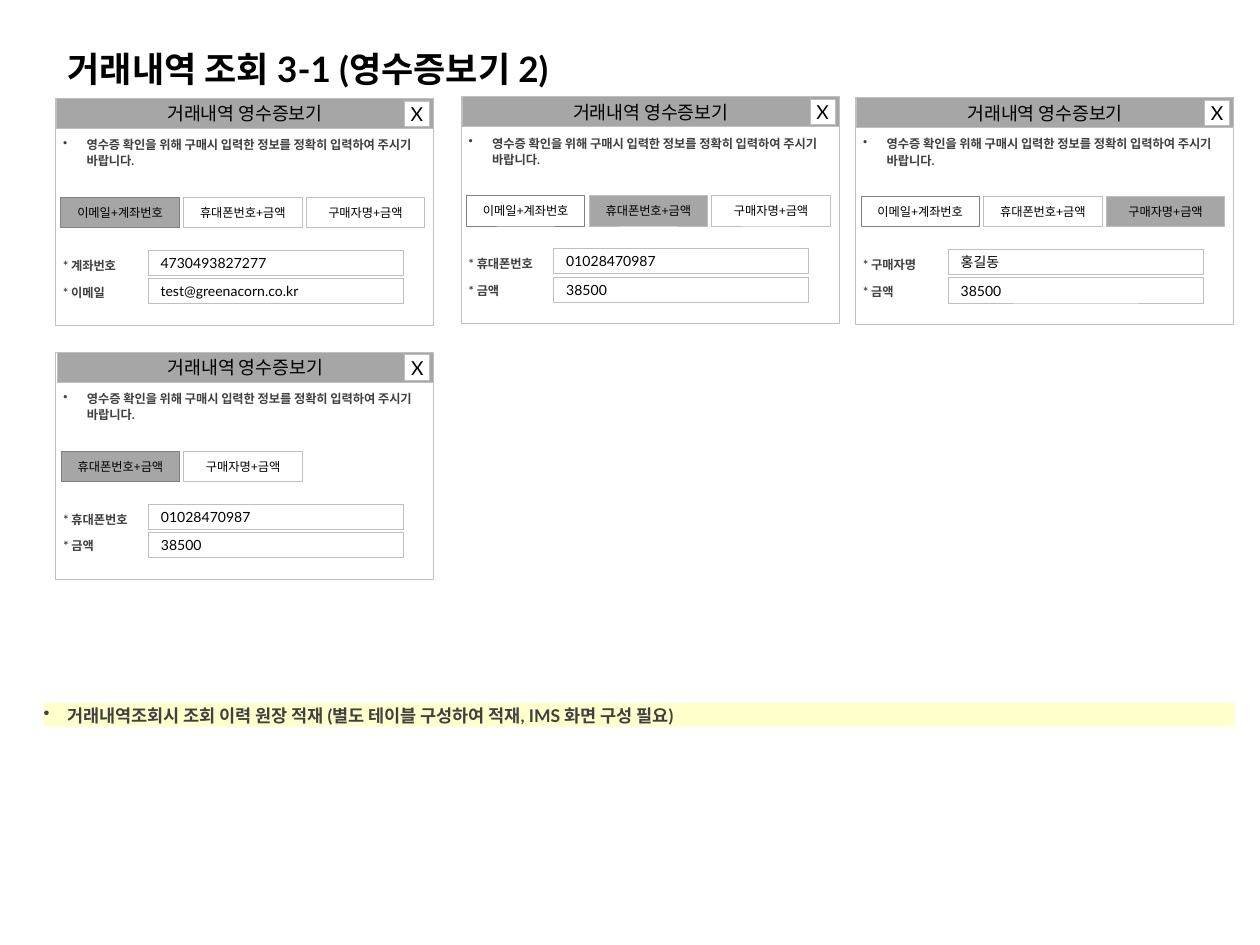
import pptx
import pptx.util
import pptx.dml.color
import pptx.enum.shapes
import pptx.enum.text
from lxml import etree

Pt = pptx.util.Pt
RGB = pptx.dml.color.RGBColor
ALIGN = pptx.enum.text.PP_ALIGN
ANCHOR = pptx.enum.text.MSO_ANCHOR

FONT = "Lato"
BLACK = RGB(0x00, 0x00, 0x00)
WHITE = RGB(0xFF, 0xFF, 0xFF)
DARK = RGB(0x40, 0x40, 0x40)
GRAY = RGB(0x80, 0x80, 0x80)
SILVER = RGB(0xA6, 0xA6, 0xA6)
LIGHT = RGB(0xBF, 0xBF, 0xBF)
YELLOW = RGB(0xFF, 0xFF, 0xCC)

TITLE = "거래내역 조회 3-1 (영수증보기 2)"
NOTE = "거래내역조회시 조회 이력 원장 적재 (별도 테이블 구성하여 적재, IMS 화면 구성 필요)"
HEADER = "거래내역 영수증보기"
HINT = "영수증 확인을 위해 구매시 입력한 정보를 정확히 입력하여 주시기 바랍니다."
ACCOUNT, PHONE, BUYER = "이메일+계좌번호", "휴대폰번호+금액", "구매자명+금액"

POPUPS = [
    {"at": (31.7, 56.3), "tabs": [ACCOUNT, PHONE, BUYER], "active": ACCOUNT,
     "fields": [("계좌번호", "4730493827277"), ("이메일", "test@greenacorn.co.kr")]},
    {"at": (263.5, 55.3), "tabs": [ACCOUNT, PHONE, BUYER], "active": PHONE,
     "fields": [("휴대폰번호", "01028470987"), ("금액", "38500")]},
    {"at": (488.9, 55.8), "tabs": [ACCOUNT, PHONE, BUYER], "active": BUYER,
     "fields": [("구매자명", "홍길동"), ("금액", "38500")]},
    {"at": (31.9, 201.4), "tabs": [PHONE, BUYER], "active": PHONE,
     "fields": [("휴대폰번호", "01028470987"), ("금액", "38500")]},
]

TAB_WIDTH, TAB_STEP = 67.7, 70.1
FIELD_STEP = 16.4
BULLET_INDENT = 13.5


def write(shape, *lines, size, color=BLACK, bold=False, align=ALIGN.LEFT,
          anchor=ANCHOR.MIDDLE, wrap=True, flush=False, spaced=False, bullet=False):
    """Fill a shape with paragraphs; flush drops the insets, spaced opens the lines."""
    frame = shape.text_frame
    frame.word_wrap = wrap
    frame.auto_size = pptx.enum.text.MSO_AUTO_SIZE.NONE
    frame.vertical_anchor = anchor
    if flush:
        frame.margin_left = frame.margin_right = frame.margin_top = frame.margin_bottom = 0
    for index, line in enumerate(lines):
        paragraph = frame.add_paragraph() if index else frame.paragraphs[0]
        paragraph.alignment = align
        if spaced:
            paragraph.line_spacing = 1.1
            paragraph.space_before = paragraph.space_after = Pt(3)
        if bullet:
            properties = paragraph._p.get_or_add_pPr()
            properties.set("marL", str(Pt(BULLET_INDENT)))
            properties.set("indent", str(-Pt(BULLET_INDENT)))
            mark = etree.SubElement(properties, pptx.oxml.ns.qn("a:buChar"))
            mark.set("char", "•")
        run = paragraph.add_run()
        run.text = line
        run.font.name = FONT
        run.font.size = Pt(size)
        run.font.bold = bold
        run.font.color.rgb = color


def add_box(slide, x, y, width, height, fill=None, line=LIGHT):
    box = slide.shapes.add_shape(pptx.enum.shapes.MSO_SHAPE.RECTANGLE,
                                 Pt(x), Pt(y), Pt(width), Pt(height))
    box.shadow.inherit = False
    if fill is None:
        box.fill.background()
    else:
        box.fill.solid()
        box.fill.fore_color.rgb = fill
    if line is None:
        box.line.fill.background()
    else:
        box.line.color.rgb = line
        box.line.width = Pt(0.5)
    return box


def add_label(slide, x, y, width, height):
    return slide.shapes.add_textbox(Pt(x), Pt(y), Pt(width), Pt(height))


def add_popup(slide, popup):
    x, y = popup["at"]
    write(add_label(slide, x + 4.3, y + 21.5, 217.4, 18.7), HINT, size=7, color=DARK,
          bold=True, anchor=ANCHOR.TOP, flush=True, spaced=True, bullet=True)

    for column, name in enumerate(popup["tabs"]):
        tab = add_box(slide, x + 3.1 + column * TAB_STEP, y + 56.6, TAB_WIDTH, 17.3,
                      fill=SILVER if name == popup["active"] else None,
                      line=LIGHT if column else GRAY)
        write(tab, name, size=7, align=ALIGN.CENTER, wrap=False)

    add_box(slide, x, y, 216, 129.6)
    write(add_box(slide, x + 0.7, y, 215.3, 17.3, fill=SILVER), HEADER,
          size=10.5, align=ALIGN.CENTER)
    write(add_box(slide, x + 199.4, y + 1.4, 14.4, 14.4, fill=WHITE), "X",
          size=11, align=ALIGN.CENTER, wrap=False)

    write(add_label(slide, x + 4.3, y + 90.4, 207.4, 24.5),
          *(f"* {name}" for name, _ in popup["fields"]),
          size=7, color=DARK, bold=True, flush=True, spaced=True)
    for row, (_, value) in enumerate(popup["fields"]):
        write(add_box(slide, x + 53, y + 86.6 + row * FIELD_STEP, 145.7, 14.4),
              value, size=8)


def main():
    deck = pptx.Presentation()
    deck.slide_width, deck.slide_height = Pt(720), Pt(540)
    slide = deck.slides.add_slide(deck.slide_layouts[5])

    title = slide.shapes.title
    title.left, title.top, title.width, title.height = Pt(31.5), Pt(18.7), Pt(715), Pt(41)
    write(title, TITLE, size=20, bold=True)

    for popup in POPUPS:
        add_popup(slide, popup)

    write(add_box(slide, 25, 401.8, 680.6, 13.4, fill=YELLOW, line=None), NOTE,
          size=10, color=DARK, bold=True, anchor=ANCHOR.TOP,
          flush=True, spaced=True, bullet=True)

    deck.save("out.pptx")


if __name__ == "__main__":
    main()
